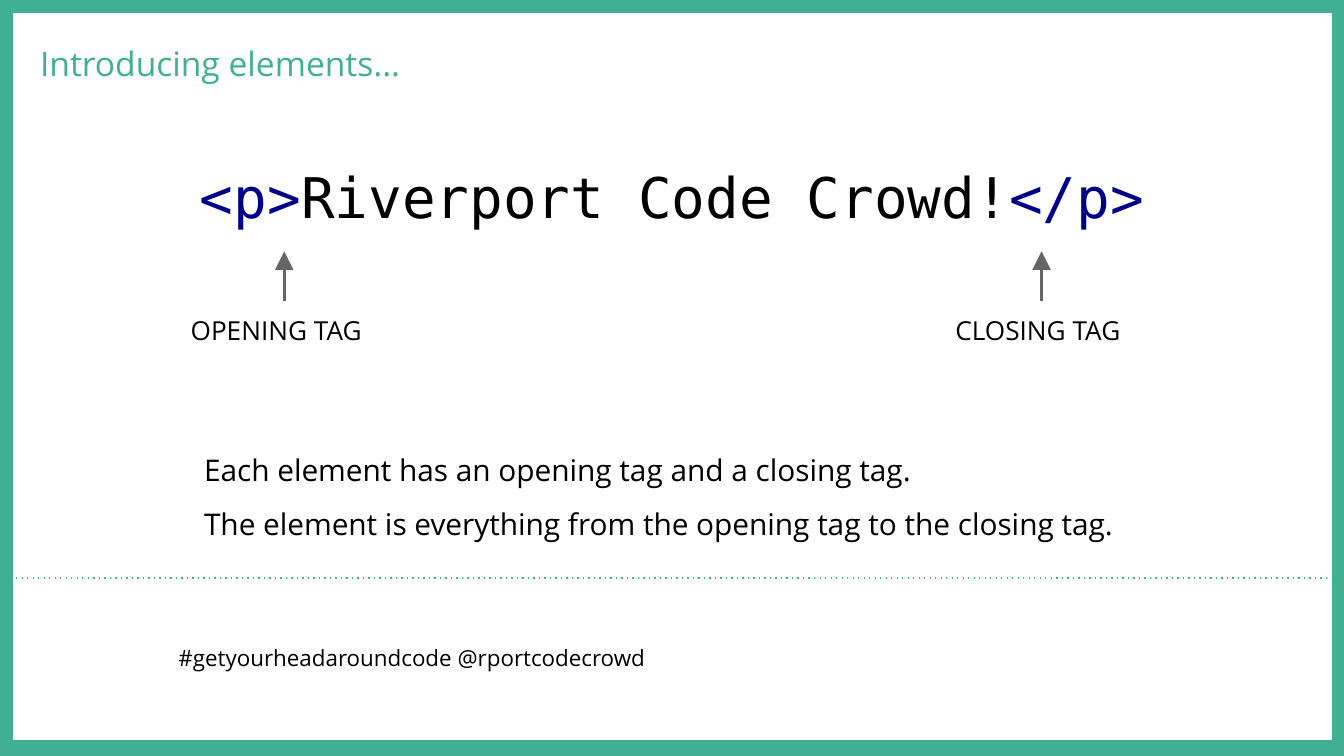
from lxml import etree
from pptx import Presentation
from pptx.dml.color import RGBColor
from pptx.enum.shapes import MSO_CONNECTOR, MSO_SHAPE
from pptx.enum.text import PP_ALIGN
from pptx.oxml.ns import qn
from pptx.util import Inches, Pt

RECT = MSO_SHAPE.RECTANGLE
STRAIGHT = MSO_CONNECTOR.STRAIGHT
LEFT = PP_ALIGN.LEFT
CENTER = PP_ALIGN.CENTER

COLORS = {"green": "41B092", "white": "FFFFFF", "black": "000000",
          "navy": "000088", "gray": "666666"}
SANS = "Open Sans"
MONO = "DejaVu Sans Mono"
WIDTH = 10
HEIGHT = WIDTH * 9 / 16


class Deck:
    def __init__(self):
        self.prs = Presentation()
        self.prs.slide_width = Inches(WIDTH)
        self.prs.slide_height = Inches(HEIGHT)
        self.slide = self.prs.slides.add_slide(self.prs.slide_layouts[6])

    def color(self, name):
        return RGBColor.from_string(COLORS[name])

    def back(self, name):
        fill = self.slide.background.fill
        fill.solid()
        fill.fore_color.rgb = self.color(name)

    def panel(self, x, y, w, h, fill, edge):
        shape = self.slide.shapes.add_shape(
            RECT, Inches(x), Inches(y), Inches(w), Inches(h))
        shape.shadow.inherit = False
        shape.fill.solid()
        shape.fill.fore_color.rgb = self.color(fill)
        shape.line.color.rgb = self.color(edge)
        shape.line.width = Pt(1.5)

    def line(self, x1, y1, x2, y2, color, width, tag, **attrs):
        line = self.slide.shapes.add_connector(
            STRAIGHT, Inches(x1), Inches(y1), Inches(x2), Inches(y2))
        line.line.color.rgb = self.color(color)
        line.line.width = Pt(width)
        props = line._element.spPr
        etree.SubElement(props.find(qn("a:ln")), qn(tag), **attrs)
        etree.SubElement(props, qn("a:effectLst"))
        return line

    def rule(self, x1, x2, y):
        self.line(x1, y, x2, y, "green", 0.75, "a:prstDash", val="dot")

    def text(self, x, y, w, h, lines, size, font=SANS, color="black",
             align=LEFT, after=0):
        box = self.slide.shapes.add_textbox(
            Inches(x), Inches(y), Inches(w), Inches(h))
        frame = box.text_frame
        frame.word_wrap = True
        frame.margin_left = frame.margin_right = Inches(0.1)
        frame.margin_top = frame.margin_bottom = Inches(0.1)
        for i, runs in enumerate(lines):
            para = frame.paragraphs[0] if i == 0 else frame.add_paragraph()
            para.alignment = align
            para.space_after = Pt(after)
            for words, tint in runs:
                run = para.add_run()
                run.text = words
                for style in (para.font, run.font):
                    style.name = font
                    style.size = Pt(size)
                    style.color.rgb = self.color(tint or color)
        return box

    def label(self, x, w, words):
        top, tip = 2.24, 1.87
        mid = x + w / 2
        box = self.text(x, top, w, 0.43, [[(words, None)]], 14)
        arrow = self.line(mid, top, mid, tip, "gray", 1.5, "a:tailEnd",
                          type="triangle", w="lg", len="lg")
        arrow.begin_connect(box, 0)


def main():
    deck = Deck()
    deck.back("green")
    deck.panel(0.09, 0.09, 9.83, 5.43, "white", "green")
    deck.rule(0.12, WIDTH - 0.12, 4.3)
    deck.text(1.23, 4.69, 7.14, 0.83,
              [[("#getyourheadaroundcode @rportcodecrowd", None)]], 12)
    deck.text(0.2, 0.22, 5.98, 0.7,
              [[("Introducing elements...", None)]], 18, color="green")
    deck.text(0.2, 1.11, 9.6, 1.01,
              [[("<p>", "navy"), ("Riverport Code Crowd!", None),
                ("</p>", "navy")]], 30, font=MONO, align=CENTER)
    deck.label(1.32, 1.59, "OPENING TAG")
    deck.label(7.01, 1.48, "CLOSING TAG")
    facts = ["Each element has an opening tag and a closing tag.",
             "The element is everything from the opening tag to the closing tag."]
    deck.text(1.42, 3.26, 7.26, 0.85,
              [[(fact, None)] for fact in facts], 16, after=10)
    deck.prs.save("out.pptx")


if __name__ == "__main__":
    main()
